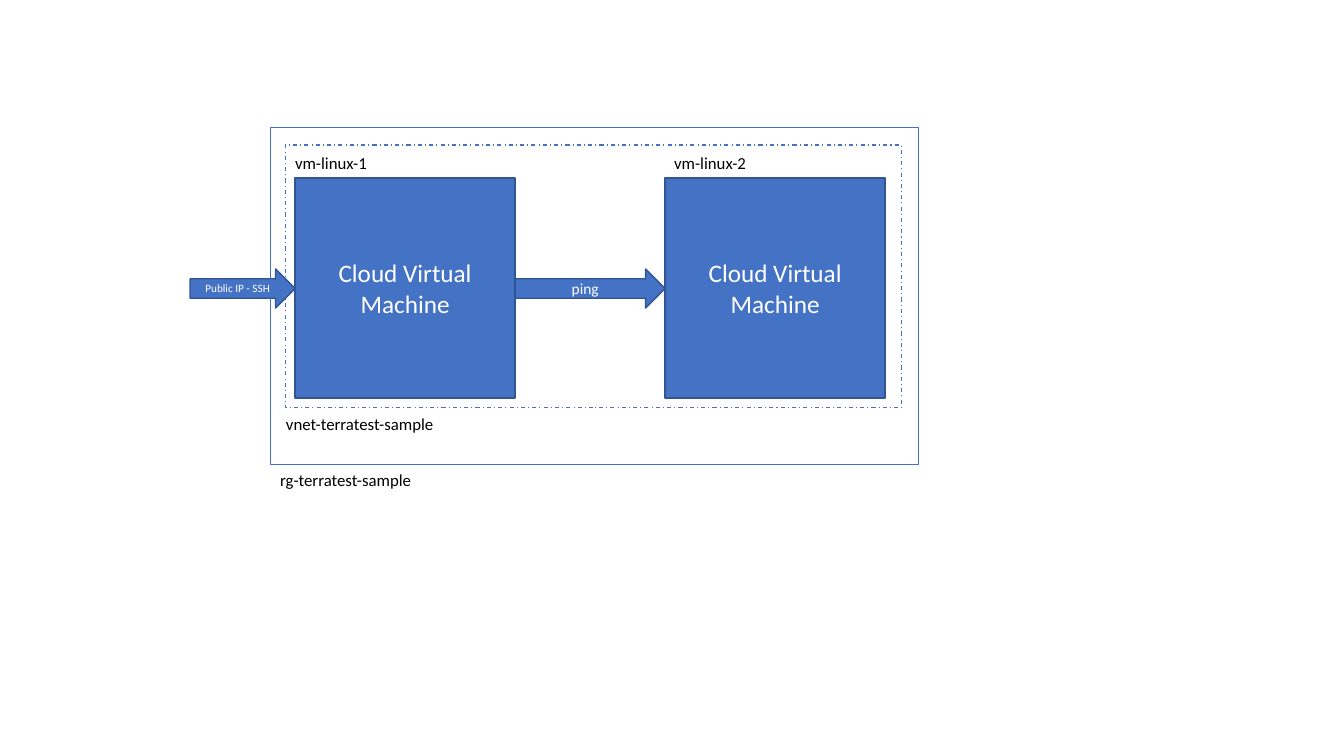
from pptx import Presentation
from pptx.dml.color import RGBColor
from pptx.enum.dml import MSO_LINE_DASH_STYLE as Dash
from pptx.enum.shapes import MSO_SHAPE as Shape
from pptx.enum.text import MSO_ANCHOR as Anchor, MSO_AUTO_SIZE as AutoSize, PP_ALIGN as Align
from pptx.util import Emu, Inches, Pt

SCALE = 914400 / 100.8
COLORS = {"blue": "4472C4", "edge": "325491", "white": "FFFFFF", "black": "000000"}
VM_SIZE, VM_TOP = 220, 178
VM_LEFTS = [295, 665]
ARROW_TOP, ARROW_HEIGHT = 269, 39
LABEL_HEIGHT = 30


def set_text(shape, text, size, color, align):
    frame = shape.text_frame
    frame.text = text
    paragraph = frame.paragraphs[0]
    paragraph.alignment = align
    font = paragraph.runs[0].font
    font.name = "Calibri"
    font.size = Pt(size)
    font.color.rgb = RGBColor.from_string(COLORS[color])


def add_box(kind, box, line_color, line_width):
    shape = slide.shapes.add_shape(kind, *[Emu(round(value * SCALE)) for value in box])
    shape.shadow.inherit = False
    shape.fill.background()
    shape.line.color.rgb = RGBColor.from_string(COLORS[line_color])
    shape.line.width = Pt(line_width)
    return shape


presentation = Presentation()
presentation.slide_width = Inches(13.33)
presentation.slide_height = Inches(7.5)
slide = presentation.slides.add_slide(presentation.slide_layouts[6])

network = add_box(Shape.RECTANGLE, (285, 145, 616, 263), "blue", 0.75)
network.line.dash_style = Dash.DASH_DOT

vm_right = VM_LEFTS[0] + VM_SIZE
nodes = [(Shape.RECTANGLE, (left, VM_TOP, VM_SIZE, VM_SIZE), "Cloud Virtual Machine", 18)
         for left in VM_LEFTS]
nodes += [(Shape.RIGHT_ARROW, (start, ARROW_TOP, end - start, ARROW_HEIGHT), text, size)
          for start, end, text, size in [(190, VM_LEFTS[0], "Public IP - SSH", 8),
                                         (vm_right, VM_LEFTS[1], "ping", 11)]]
for kind, box, text, size in nodes:
    node = add_box(kind, box, "edge", 1)
    node.fill.solid()
    node.fill.fore_color.rgb = RGBColor.from_string(COLORS["blue"])
    node.text_frame.vertical_anchor = Anchor.MIDDLE
    set_text(node, text, size, "white", Align.CENTER)

resource_group = add_box(Shape.RECTANGLE, (270, 128, 648, 337), "blue", 0.75)

for left, top, width, text in [
    (285, 148, 94, "vm-linux-1"),
    (664, 148, 94, "vm-linux-2"),
    (276, 409, 170, "vnet-terratest-sample"),
    (270, 465, 153, "rg-terratest-sample"),
]:
    box = (left, top, width, LABEL_HEIGHT)
    label = slide.shapes.add_textbox(*[Emu(round(value * SCALE)) for value in box])
    label.text_frame.word_wrap = False
    label.text_frame.auto_size = AutoSize.SHAPE_TO_FIT_TEXT
    set_text(label, text, 12, "black", Align.LEFT)

presentation.save("out.pptx")
